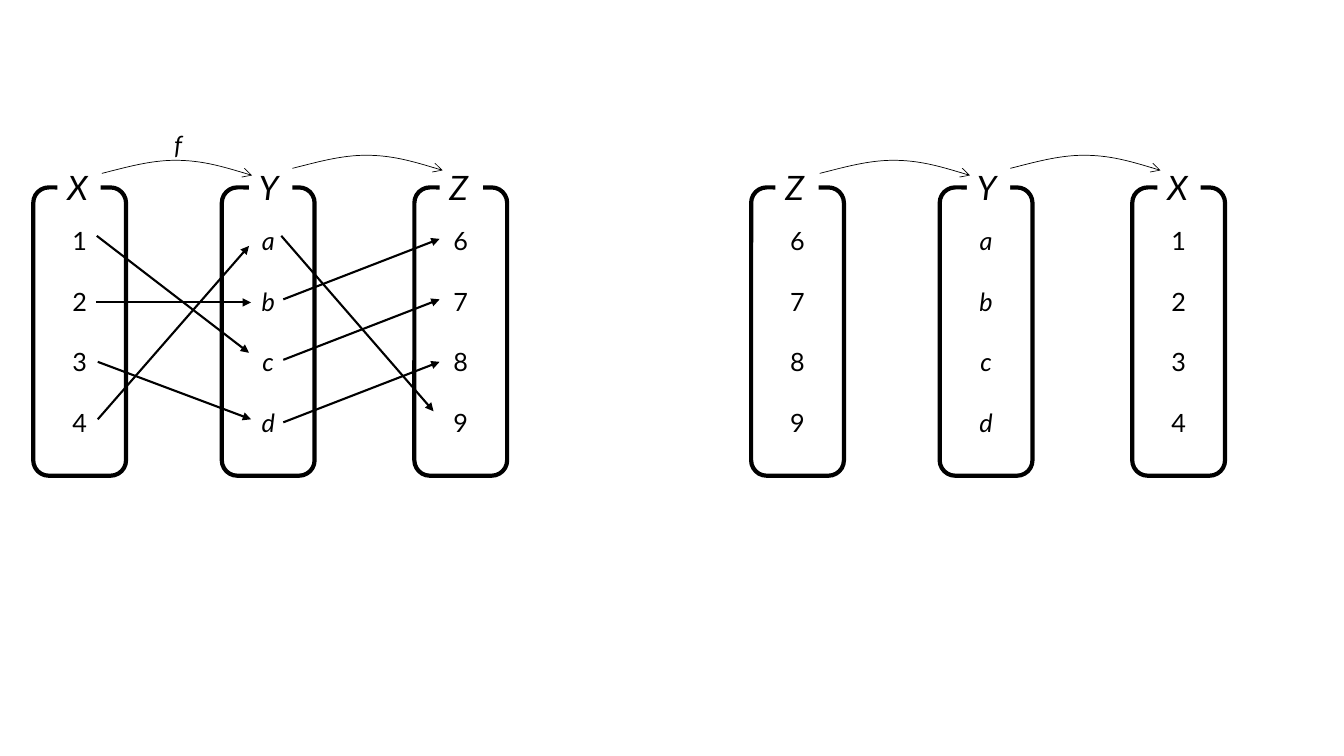
from lxml import etree
from pptx import Presentation
from pptx.dml.color import RGBColor
from pptx.enum import shapes as kinds, text as txt
from pptx.oxml.ns import qn
from pptx.util import Inches, Pt

COLORS = {"ink": "000000", "paper": "FFFFFF"}
FONT = "Lato"

MEMBERS = {"X": "1234", "Y": "abcd", "Z": "6789"}
# Each diagram: shift to the right, sets in order
DIAGRAMS = [(0, "XYZ"), (7.12, "ZYX")]
SET_LEFTS = [0.33, 2.2, 4.11]
NAME_LEFTS = [0.57, 2.47, 4.36]
ARC_STARTS = [(1.01, 1.72), (2.9, 1.67)]
# Start, then control and end points of two cubic curves, from the arc's start
ARC_POINTS = [(0, 0), (0.24, -0.06), (0.48, -0.13), (0.73, -0.13),
              (0.98, -0.13), (1.23, -0.06), (1.49, 0.02)]
MAPPINGS = [
    # X to Y
    ((0.96, 2.34), (2.47, 3.5)),
    ((0.97, 4.16), (2.47, 2.44)),
    ((0.97, 3.59), (2.49, 4.16)),
    ((0.95, 3), (2.49, 3)),
    # Y to Z
    ((2.81, 2.97), (4.36, 2.37)),
    ((2.81, 3.57), (4.36, 2.97)),
    ((2.81, 4.19), (4.36, 3.59)),
    ((2.79, 2.34), (4.3, 4.08)),
]


def color(key):
    return RGBColor.from_string(COLORS[key])


def style_text(paragraph, size, italic):
    for run in paragraph.runs:
        run.font.name = FONT
        run.font.size = Pt(size)
        run.font.italic = italic
        run.font.color.rgb = color("ink")


def style_line(line, width, head=None):
    line.color.rgb = color("ink")
    line.width = Pt(width)
    if head:
        etree.SubElement(line._get_or_add_ln(), qn("a:tailEnd"), type=head)


def add_label(slide, label, left, top, width, height, size):
    box = slide.shapes.add_textbox(*map(Inches, (left, top, width, height)))
    box.text_frame.word_wrap = True
    box.text_frame.text = label
    style_text(box.text_frame.paragraphs[0], size, True)
    return box


def add_set(slide, name, left, name_left):
    outline = slide.shapes.add_shape(
        kinds.MSO_SHAPE.ROUNDED_RECTANGLE,
        *map(Inches, (left, 1.86, 0.92, 2.86)))
    outline.shadow.inherit = False
    outline.fill.background()
    style_line(outline.line, 3)
    frame = outline.text_frame
    frame.vertical_anchor = txt.MSO_ANCHOR.MIDDLE
    frame.text = "\n".join(MEMBERS[name])
    for row, member in enumerate(frame.paragraphs):
        member.alignment = txt.PP_ALIGN.CENTER
        if row:
            member.space_before = Pt(21.6)
        style_text(member, 18, member.text.isalpha())
    heading = add_label(slide, name, name_left, 1.61, 0.43, 0.5, 24)
    heading.fill.solid()
    heading.fill.fore_color.rgb = color("paper")


def add_arc(slide, left, top):
    start, *rest = [(Inches(left + x), Inches(top + y)) for x, y in ARC_POINTS]
    builder = slide.shapes.build_freeform(*start)
    builder.add_line_segments(rest, close=False)
    arc = builder.convert_to_shape()
    arc.shadow.inherit = False
    arc.fill.background()
    style_line(arc.line, 0.5, "arrow")
    # Turn every three line segments into one cubic curve
    outline = arc._element.find(".//" + qn("a:path"))
    segments = outline.findall(qn("a:lnTo"))
    for first in range(0, len(segments), 3):
        curve = etree.SubElement(outline, qn("a:cubicBezTo"))
        for segment in segments[first:first + 3]:
            curve.append(segment[0])
            outline.remove(segment)


def add_mapping(slide, start, end):
    arrow = slide.shapes.add_connector(
        kinds.MSO_CONNECTOR.STRAIGHT, *map(Inches, start + end))
    style_line(arrow.line, 1.5, "triangle")
    etree.SubElement(arrow._element.spPr, qn("a:effectLst"))


def main():
    deck = Presentation()
    deck.slide_width, deck.slide_height = Inches(13.33), Inches(7.5)
    slide = deck.slides.add_slide(deck.slide_layouts[6])
    for shift, names in DIAGRAMS:
        for name, left, name_left in zip(names, SET_LEFTS, NAME_LEFTS):
            add_set(slide, name, shift + left, shift + name_left)
        for left, top in ARC_STARTS:
            add_arc(slide, shift + left, top)
    add_label(slide, "f", 1.63, 1.23, 0.37, 0.4, 18)
    for start, end in MAPPINGS:
        add_mapping(slide, start, end)
    deck.save("out.pptx")


if __name__ == "__main__":
    main()
